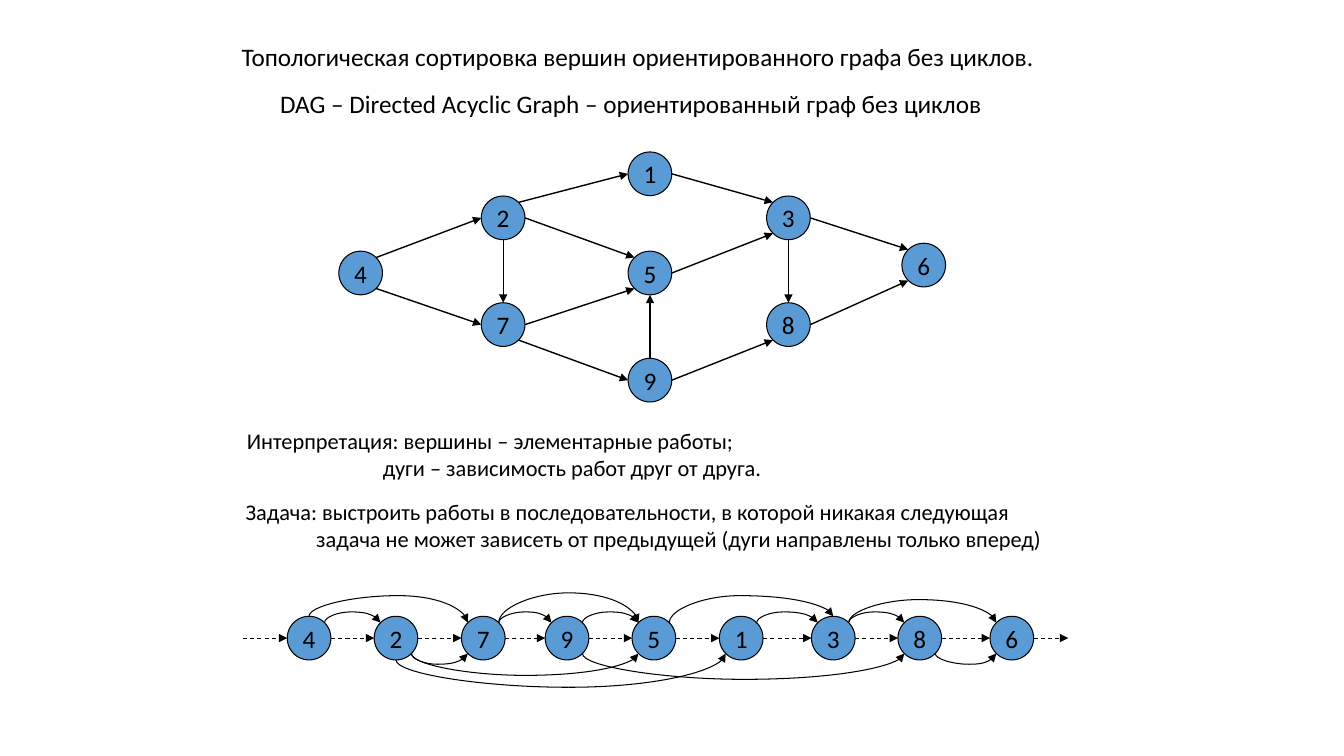
from lxml import etree
from pptx import Presentation
from pptx.dml.color import RGBColor
from pptx.enum.dml import MSO_LINE
from pptx.enum.shapes import MSO_CONNECTOR, MSO_SHAPE
from pptx.enum.text import MSO_ANCHOR, PP_ALIGN
from pptx.oxml.ns import qn
from pptx.util import Cm, Pt

STRAIGHT, CURVE = MSO_CONNECTOR.STRAIGHT, MSO_CONNECTOR.CURVE
OVAL, DASH = MSO_SHAPE.OVAL, MSO_LINE.DASH
MIDDLE, CENTER = MSO_ANCHOR.MIDDLE, PP_ALIGN.CENTER
BLACK = RGBColor(0x00, 0x00, 0x00)
BLUE = RGBColor(0x5B, 0x9B, 0xD5)
FONT = "Calibri"

# Points on a vertex rim, as multiples of the radius
RADIUS = 0.55
DIAG = 0.71
SITES = {
    "T": (0, -1), "B": (0, 1), "L": (-1, 0), "R": (1, 0),
    "TL": (-DIAG, -DIAG), "TR": (DIAG, -DIAG),
    "BL": (-DIAG, DIAG), "BR": (DIAG, DIAG),
}

prs = Presentation()
prs.slide_width, prs.slide_height = Cm(33.87), Cm(19.05)
s = prs.slides.add_slide(prs.slide_layouts[6])


def rim(center, site):
    """Return the point, in cm, where an arc touches a vertex."""
    dx, dy = SITES[site]
    return center[0] + dx * RADIUS, center[1] + dy * RADIUS


def connect(start, end, width=0.75, kind=STRAIGHT, dash=None, arrow=True):
    cxn = s.shapes.add_connector(kind, *[Cm(v) for v in (*start, *end)])
    cxn.line.color.rgb = BLACK
    cxn.line.width = Pt(width)
    cxn.line.dash_style = dash
    sp_pr = cxn._element.spPr
    if kind == CURVE:
        sp_pr.find(qn("a:prstGeom")).set("prst", "curvedConnector2")
    if arrow:
        etree.SubElement(sp_pr.find(qn("a:ln")), qn("a:tailEnd"), type="triangle")
    etree.SubElement(sp_pr, qn("a:effectLst"))


# Text: left, top, width, height, size, indent of the second line, lines
texts = [
    (5.84, 0.91, 20.9, 1.02, 18, 0,
     ["Топологическая сортировка вершин ориентированного графа без циклов."]),
    (6.81, 2.11, 18.6, 1.02, 18, 0,
     ["DAG – Directed Acyclic Graph – ориентированный граф без циклов"]),
    (5.97, 10.64, 13.9, 1.63, 16, 3.43,
     ["Интерпретация: вершины – элементарные работы;",
      "дуги – зависимость работ друг от друга."]),
    (5.94, 12.42, 21.1, 1.63, 16, 1.78,
     ["Задача: выстроить работы в последовательности, в которой никакая следующая",
      "задача не может зависеть от предыдущей (дуги направлены только вперед)"]),
]
for left, top, width, height, size, indent, lines in texts:
    tf = s.shapes.add_textbox(Cm(left), Cm(top), Cm(width), Cm(height)).text_frame
    tf.word_wrap = True
    for i, line in enumerate(lines):
        p = tf.paragraphs[0] if i == 0 else tf.add_paragraph()
        if i:
            p._p.get_or_add_pPr().set("marL", str(Cm(indent)))
        r = p.add_run()
        r.text = line
        r.font.name, r.font.size, r.font.color.rgb = FONT, Pt(size), BLACK

# Vertex centres: the graph, and the same vertices in sorted order
graph = {
    1: (16.38, 4.38), 5: (16.38, 6.88), 9: (16.38, 9.58),
    2: (12.68, 5.49), 7: (12.68, 8.18),
    3: (19.87, 5.49), 8: (19.87, 8.18),
    4: (9.09, 6.88), 6: (23.28, 6.68),
}
ROW_Y = 16.08
row_x = {4: 7.79, 2: 9.98, 7: 12.18, 9: 14.29, 5: 16.48,
         1: 18.68, 3: 21.0, 8: 23.18, 6: 25.5}
row = {name: (x, ROW_Y) for name, x in row_x.items()}

for name, (x, y) in [*graph.items(), *row.items()]:
    sp = s.shapes.add_shape(OVAL, Cm(x - RADIUS), Cm(y - RADIUS),
                            Cm(2 * RADIUS), Cm(2 * RADIUS))
    sp.shadow.inherit = False
    sp.fill.solid()
    sp.fill.fore_color.rgb = BLUE
    sp.line.color.rgb = BLACK
    sp.line.width = Pt(0.75)
    tf = sp.text_frame
    tf.word_wrap = False
    tf.vertical_anchor = MIDDLE
    p = tf.paragraphs[0]
    p.alignment = CENTER
    r = p.add_run()
    r.text = str(name)
    r.font.name, r.font.size, r.font.color.rgb = FONT, Pt(18), BLACK

# Arcs of the graph
edges = [
    (4, "TR", 2, "L"), (4, "BR", 7, "L"), (2, "B", 7, "T"),
    (2, "TR", 1, "L"), (2, "R", 5, "TL"), (7, "R", 5, "BL"),
    (7, "BR", 9, "L"), (9, "T", 5, "B"), (1, "R", 3, "TL"),
    (5, "R", 3, "BL"), (9, "R", 8, "BL"), (3, "B", 8, "T"),
    (3, "R", 6, "TL"), (8, "R", 6, "BL"),
]
for a, site_a, b, site_b in edges:
    connect(rim(graph[a], site_a), rim(graph[b], site_b),
            width=0.75 if (a, b) == (2, 7) else 1)

# Dashed chain through the sorted row
starts = [6.12] + [x + RADIUS for x in row_x.values()]
ends = [x - RADIUS for x in row_x.values()] + [26.92]
for x1, x2 in zip(starts, ends):
    connect((x1, ROW_Y), (x2, ROW_Y), dash=DASH)

# Arcs of the sorted row: each is two quarter curves that meet at its apex
LOW, HIGH = 16.74, 15.42
arcs = [
    (4, "TR", (8.84, HIGH), 2, "TL"), (4, "T", (10.03, 15.01), 7, "TL"),
    (2, "BR", (11.02, LOW), 7, "BL"), (2, "BR", (13.23, 17.02), 5, "BL"),
    (2, "B", (14.33, 17.32), 1, "BL"), (7, "TR", (13.23, HIGH), 9, "TL"),
    (9, "TR", (15.34, HIGH), 5, "TL"), (7, "TR", (14.33, 14.94), 5, "TL"),
    (1, "TR", (19.74, HIGH), 3, "TL"), (5, "TR", (18.64, 15.01), 3, "T"),
    (9, "BR", (18.75, 17.12), 8, "BL"), (3, "TR", (22.03, HIGH), 8, "TL"),
    (3, "TR", (23.14, 15.11), 6, "TL"), (8, "BR", (24.43, LOW), 6, "BL"),
]
for a, site_a, apex, b, site_b in arcs:
    connect(apex, rim(row[a], site_a), kind=CURVE, arrow=False)
    connect(apex, rim(row[b], site_b), kind=CURVE)

prs.save("out.pptx")
